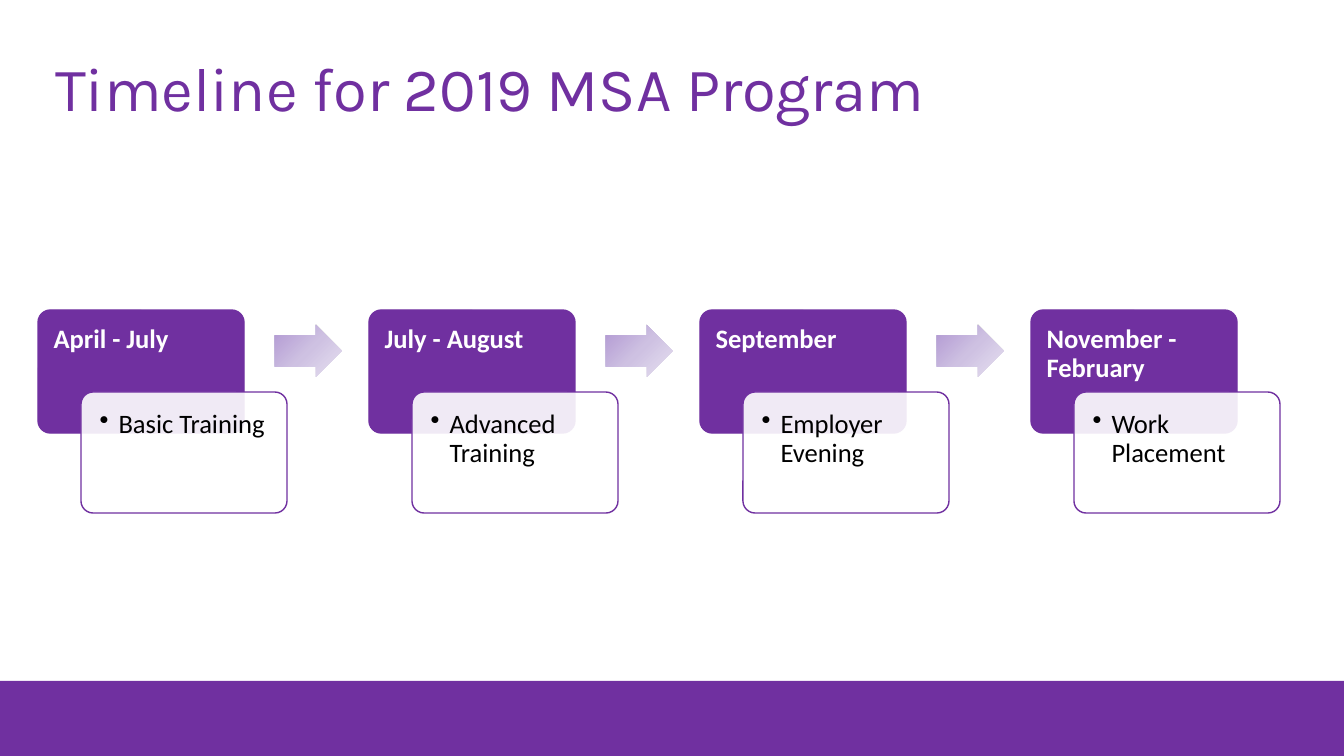
import pptx
import pptx.util
import pptx.dml.color
import pptx.enum.shapes
import pptx.enum.text
import pptx.oxml
import pptx.oxml.ns

# Content
TITLE = "Timeline for 2019 MSA Program"
STEPS = [
    ("April - July", "Basic Training"),
    ("July - August", "Advanced Training"),
    ("September", "Employer Evening"),
    ("November - February", "Work Placement"),
]
PURPLE, WHITE, BLACK = "7030A0", "FFFFFF", "000000"
FADE = [(0, "B197D2"), (50, "CEC1E2"), (100, "E7E1F0")]

# Layout in px
WIDE, HIGH = 1344, 756
LEFT, PITCH = 38, 331
BAR = (0, 681, WIDE, 75)
HEAD = (0, 310, 206, 123)
CARD = (43, 392, 206, 121)
ARROW = (237, 325, 67, 52)
INDENT = 19

KIND = pptx.enum.shapes.MSO_SHAPE
ANCHOR = pptx.enum.text.MSO_ANCHOR
NS = pptx.oxml.ns.nsdecls("a")


def px(n):
    return pptx.util.Emu(round(n * 914400 / 100.8))


def color(code):
    return pptx.dml.color.RGBColor.from_string(code)


def shape(kind, box, fill=None, line=None, adj=()):
    item = slide.shapes.add_shape(kind, *map(px, box))
    item.shadow.inherit = False
    for i, value in enumerate(adj):
        item.adjustments[i] = value
    if fill:
        item.fill.solid()
        item.fill.fore_color.rgb = color(fill)
    else:
        item.fill.background()
    if line:
        item.line.color.rgb = color(line)
        item.line.width = pptx.util.Pt(1)
    else:
        item.line.fill.background()
    return item


def write(item, text, size, font, tint, inset, bold=False, anchor=ANCHOR.TOP):
    frame = item.text_frame
    frame.text = text
    frame.word_wrap = True
    frame.vertical_anchor = anchor
    frame.margin_left = frame.margin_right = px(inset[0])
    frame.margin_top = frame.margin_bottom = px(inset[1])
    para = frame.paragraphs[0]
    para.alignment = pptx.enum.text.PP_ALIGN.LEFT
    para.line_spacing = 0.9
    face = para.runs[0].font
    face.name, face.size, face.bold = font, pptx.util.Pt(size), bold
    face.color.rgb = color(tint)
    return para


def bullet(para):
    props = para._p.get_or_add_pPr()
    props.set("marL", str(px(INDENT)))
    props.set("indent", str(-px(INDENT)))
    props.append(pptx.oxml.parse_xml(f'<a:buChar {NS} char="•"/>'))


def fade(item):
    stops = "".join(
        f'<a:gs pos="{pos * 1000}"><a:srgbClr val="{code}"/></a:gs>'
        for pos, code in FADE
    )
    grad = pptx.oxml.parse_xml(
        f'<a:gradFill {NS} rotWithShape="1"><a:gsLst>{stops}</a:gsLst>'
        '<a:path path="circle"><a:fillToRect r="100000" b="100000"/></a:path>'
        "</a:gradFill>"
    )
    props = item._element.spPr
    props.replace(props.find(pptx.oxml.ns.qn("a:noFill")), grad)


def veil(item, share):
    tone = item._element.spPr.find(".//" + pptx.oxml.ns.qn("a:srgbClr"))
    tone.append(pptx.oxml.parse_xml(f'<a:alpha {NS} val="{share * 1000}"/>'))


deck = pptx.Presentation()
deck.slide_width, deck.slide_height = px(WIDE), px(HIGH)
slide = deck.slides.add_slide(deck.slide_layouts[6])

# Footer bar and title
shape(KIND.RECTANGLE, BAR, PURPLE)
title = slide.shapes.add_textbox(*map(px, (45, 19, 1159, 146)))
write(title, TITLE, 44, "Karla", PURPLE, (10, 5), anchor=ANCHOR.MIDDLE)

# Steps, with an arrow between neighbours
for i, (date, task) in enumerate(STEPS):
    def place(box):
        return (LEFT + i * PITCH + box[0], *box[1:])

    head = shape(KIND.ROUNDED_RECTANGLE, place(HEAD), PURPLE, PURPLE, [0.1])
    write(head, date, 19, "Calibri", WHITE, (12, 12), bold=True)
    card = shape(KIND.ROUNDED_RECTANGLE, place(CARD), WHITE, PURPLE, [0.1])
    veil(card, 90)
    bullet(write(card, task, 19, "Calibri", BLACK, (15, 15)))
    if i < len(STEPS) - 1:
        fade(shape(KIND.RIGHT_ARROW, place(ARROW), adj=[0.6, 0.5]))

deck.save("out.pptx")
